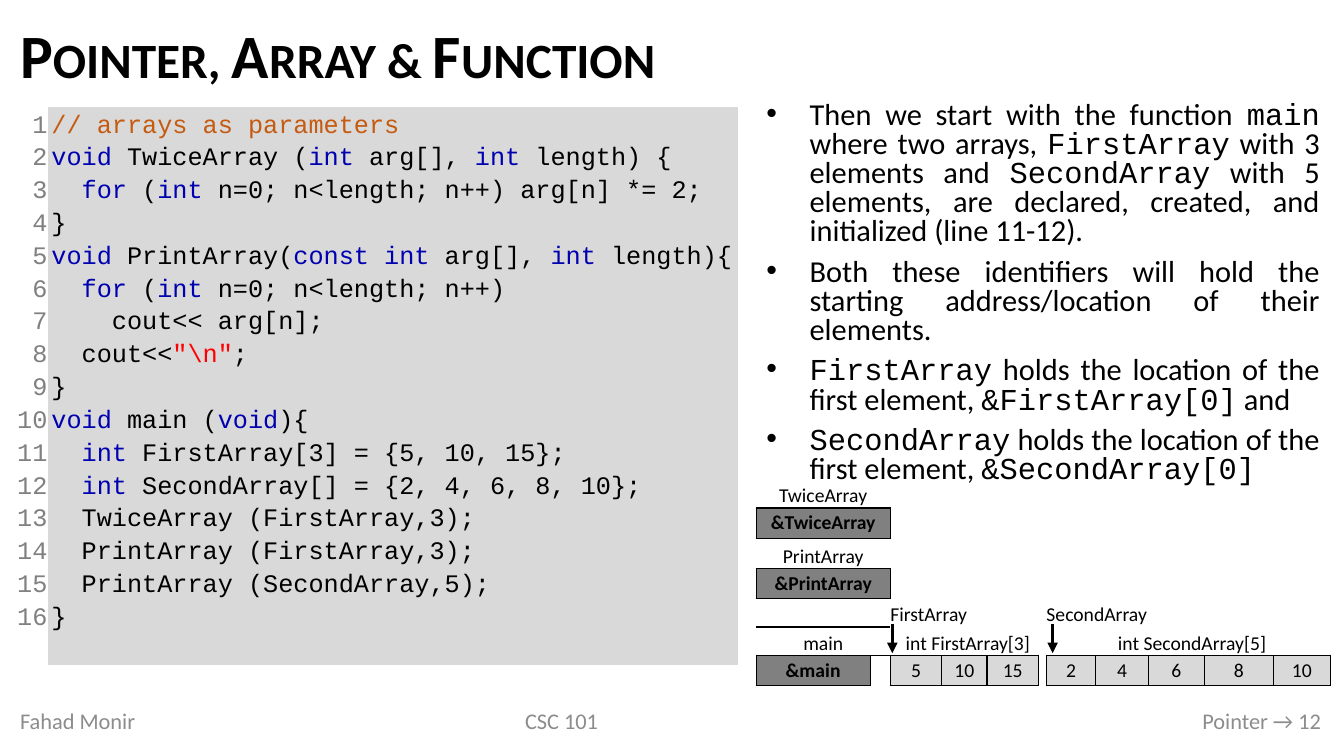
from lxml import etree
from pptx import Presentation
from pptx.dml.color import RGBColor
from pptx.enum.shapes import MSO_CONNECTOR
from pptx.enum.text import MSO_ANCHOR, MSO_AUTO_SIZE, PP_ALIGN
from pptx.oxml.ns import qn
from pptx.util import Inches, Pt

LEFT, MID, RIGHT, JUST = PP_ALIGN.LEFT, PP_ALIGN.CENTER, PP_ALIGN.RIGHT, PP_ALIGN.JUSTIFY
TOP, CENTRE, BASE = MSO_ANCHOR.TOP, MSO_ANCHOR.MIDDLE, MSO_ANCHOR.BOTTOM
STRAIGHT, NO_FIT = MSO_CONNECTOR.STRAIGHT, MSO_AUTO_SIZE.NONE
SANS, MONO = "Calibri", "Courier New"
PLAIN = "{2D5ABB26-0587-4C30-8999-92F81FD0307C}"  # table style without grid
HUES = {"ink": "000000", "key": "0000B0", "note": "C55A11", "quote": "FF0000",
        "dim": "808080", "pale": "D9D9D9", "foot": "8C8C8C"}
UNIT = 0.1  # grid step in inches: 133.3 columns by 75 rows


def grid(*steps):
    return [Inches(step * UNIT) for step in steps]


class Page:
    def __init__(self, deck):
        self.slide = deck.slides.add_slide(deck.slide_layouts[1])
        self.shapes = self.slide.shapes

    def hue(self, name):
        return RGBColor.from_string(HUES[name])

    def style(self, para, size, hue="ink", font=SANS, bold=False):
        for run in para.runs:
            run.font.size, run.font.name, run.font.bold = Pt(size), font, bold
            run.font.color.rgb = self.hue(hue)

    def mixed(self, para, parts, size):
        """Add runs given as (text, hue, font)."""
        for text, hue, font in parts:
            run = para.add_run()
            run.text = text
            run.font.size, run.font.name = Pt(size), font
            run.font.color.rgb = self.hue(hue)

    def place(self, shape, box):
        shape.left, shape.top, shape.width, shape.height = grid(*box)
        shape.text_frame.auto_size = NO_FIT
        return shape.text_frame

    def title(self, text, box):
        frame = self.place(self.shapes.title, box)
        frame.text, frame.vertical_anchor = text, CENTRE
        para = frame.paragraphs[0]
        para.alignment, para.line_spacing = LEFT, 0.9
        self.style(para, 44, bold=True)
        para.runs[0].font._element.set("cap", "small")

    def bullets(self, items, box):
        frame = self.place(self.slide.placeholders[1], box)
        frame.vertical_anchor = TOP
        for i, item in enumerate(items):
            para = frame.add_paragraph() if i else frame.paragraphs[0]
            para.alignment, para.line_spacing = JUST, 0.8
            para.space_before = para.space_after = Pt(4)
            props = para._p.get_or_add_pPr()
            props.set("marL", str(Inches(0.43)))
            props.set("indent", str(-Inches(0.43)))
            etree.SubElement(props, qn("a:buChar")).set("char", "•")
            self.mixed(para, [(text, "ink", (SANS, MONO)[n % 2])
                              for n, text in enumerate(item.split("|")) if text], 21.7)

    def text(self, text, box, align):
        frame = self.shapes.add_textbox(*grid(*box)).text_frame
        frame.text, frame.word_wrap, frame.vertical_anchor = text, True, CENTRE
        frame.paragraphs[0].alignment = align
        self.style(frame.paragraphs[0], 16, "foot")

    def table(self, spot, cols, rows, pad):
        box = grid(*spot, sum(cols), sum(rows))
        table = self.shapes.add_table(len(rows), len(cols), *box).table
        table.first_row = table.horz_banding = False
        table._tbl.tblPr.find(qn("a:tableStyleId")).text = PLAIN
        for col, width in zip(table.columns, grid(*cols)):
            col.width = width
        for row, height in zip(table.rows, grid(*rows)):
            row.height = height
        for cell in table.iter_cells():
            cell.margin_left = cell.margin_right = Inches(pad)
            cell.margin_top = cell.margin_bottom = Inches(pad)
            cell.fill.background()
        return table

    def paint(self, cell, hue):
        cell.fill.solid()
        cell.fill.fore_color.rgb = self.hue(hue)

    def edges(self, cell, sides):
        props = cell._tc.get_or_add_tcPr()
        for i, side in enumerate(sides):
            line = etree.Element(qn("a:ln" + side), w=str(Pt(1)))
            fill = etree.SubElement(line, qn("a:solidFill"))
            etree.SubElement(fill, qn("a:srgbClr")).set("val", HUES["ink"])
            props.insert(i, line)

    def arrow(self, x, y, drop):
        link = self.shapes.add_connector(STRAIGHT, *grid(x, y, x, y + drop))
        link.line.width = Pt(2.5)
        link.line.color.rgb = self.hue("ink")
        props = link._element.spPr
        etree.SubElement(props.find(qn("a:ln")), qn("a:tailEnd")).set("type", "triangle")
        etree.SubElement(props, qn("a:effectLst"))


deck = Presentation()
deck.slide_width, deck.slide_height = grid(133.3, 75)
page = Page(deck)

# Title and explanation
page.title("Pointer, Array & Function", (1, 1.1, 131, 9.5))
page.bullets([
    "Then we start with the function |main| where two arrays, |FirstArray| with 3 elements "
    "and |SecondArray| with 5 elements, are declared, created, and initialized (line 11-12). ",
    "Both these identifiers will hold the starting address/location of their elements. ",
    "|FirstArray| holds the location of the first element, |&FirstArray[0]| and ",
    "|SecondArray| holds the location of the first element, |&SecondArray[0]",
], (75, 9.6, 56.9, 40.3))

# Code listing; bars part the coloured pieces
CODE = r'''// arrays as parameters
void |TwiceArray (|int |arg[], |int| length) {
  |for| (|int| n=0; n<length; n++) arg[n] *= 2;
}
void |PrintArray(|const int |arg[], |int| length){
  |for| (|int| n=0; n<length; n++)
    cout<< arg[n];
  cout<<|"\n"|;
}
void| main (|void|){
  |int |FirstArray[3] = {5, 10, 15};
  |int |SecondArray[] = {2, 4, 6, 8, 10};
  TwiceArray (FirstArray,3);
  PrintArray (FirstArray,3);
  PrintArray (SecondArray,5);
}'''.split("\n")
KEYS = {"void", "int", "const int", "for"}


def tint(part):
    if part.strip() in KEYS:
        return "key"
    return {"/": "note", '"': "quote"}.get(part[0], "ink")


count, code = page.table((0, 10.6), (4.8, 68.4), (55.4,), 0.01).iter_cells()
para = count.text_frame.paragraphs[0]
para.text = "\v".join(str(n + 1) for n in range(len(CODE)))
para.alignment, para.line_spacing = RIGHT, 1.15
page.style(para, 18, "dim", MONO)
page.paint(code, "pale")
code.margin_left = Inches(0.03)
for n, line in enumerate(CODE):
    para = code.text_frame.add_paragraph() if n else code.text_frame.paragraphs[0]
    para.line_spacing = 1.15
    page.mixed(para, [(part, tint(part), MONO) for part in line.split("|")], 18)

# Memory map: row, column, columns spanned, text, kind
KINDS = {  # align, anchor, fill, bold, edges
    "name": (LEFT, BASE, None, False, ""),
    "label": (MID, BASE, None, False, ""),
    "rule": (MID, BASE, None, False, "B"),
    "code": (MID, CENTRE, "dim", True, "LRTB"),
    "value": (MID, CENTRE, "pale", False, "LRTB"),
}
CELLS = [(row, 2, 11, "", "label") for row in range(4)] + [
    (0, 0, 2, "TwiceArray", "label"), (1, 0, 2, "&TwiceArray", "code"),
    (2, 0, 2, "PrintArray", "label"), (3, 0, 2, "&PrintArray", "code"),
    (4, 0, 2, "", "rule"), (4, 2, 4, "FirstArray", "name"), (4, 7, 6, "SecondArray", "name"),
    (5, 0, 2, "main", "label"), (5, 3, 3, "int FirstArray[3]", "label"),
    (5, 8, 5, "int SecondArray[5]", "label"), (6, 0, 1, "&main", "code"),
    (6, 2, 2, "5", "value"), (6, 7, 2, "2", "value"),
] + [(6, col, 1, text, "value") for col, text in
     ((4, "10"), (5, "15"), (9, "4"), (10, "6"), (11, "8"), (12, "10"))]

cols = (11.3, 2, 0.7, 4.4, 4.5, 5.1, 0.8, 0.7, 4.2, 5.2, 5.6, 6.8, 5.7)
chart = page.table((75, 47.4), cols, (3, 3, 3, 3, 2.8, 2.8, 3), 0)
for row, col, wide, text, kind in CELLS:
    align, anchor, fill, bold, sides = KINDS[kind]
    cell = chart.cell(row, col)
    if wide > 1:
        cell.merge(chart.cell(row, col + wide - 1))
    cell.vertical_anchor = anchor
    para = cell.text_frame.paragraphs[0]
    para.text, para.alignment = text, align
    page.style(para, 14, bold=bold)
    if fill:
        page.paint(cell, fill)
    page.edges(cell, sides)
for cell in chart.iter_cells():  # keep blank cells as low as the rest
    if not cell.text_frame.text:
        cell.text_frame.paragraphs[0]._p.get_or_add_endParaRPr().set("sz", "1400")

# Arrows from the names to the first elements
for x in (88.5, 104.4):
    page.arrow(x, 61.9, 2.9)

# Footer
for text, x, width, align in (("Fahad Monir", 1, 24.1, LEFT), ("CSC 101", 38.9, 33.6, MID),
                              ("Pointer → 12", 77.1, 54.9, RIGHT)):
    page.text(text, (x, 69.5, width, 4), align)

deck.save("out.pptx")
